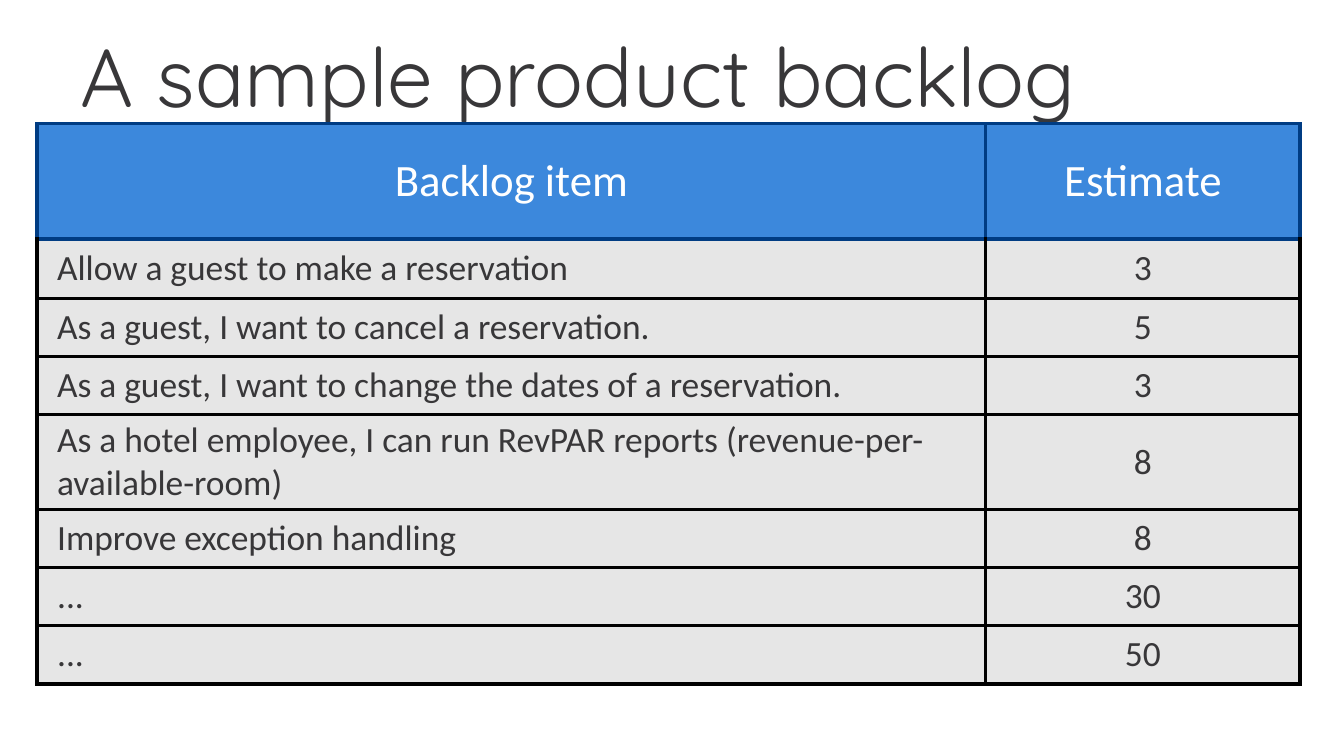
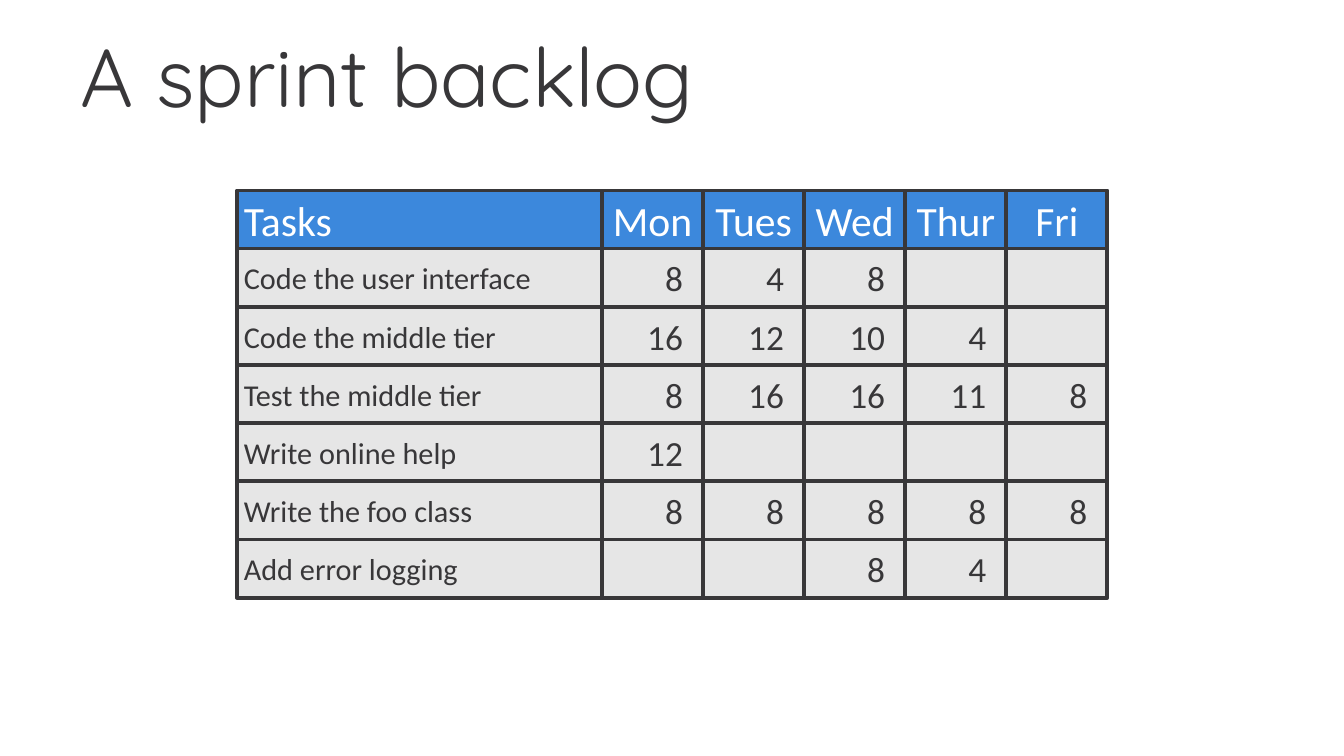
"""Builds two slides that show a product backlog and a sprint backlog."""
from lxml import etree
from pptx import Presentation
from pptx.dml.color import RGBColor
from pptx.enum.shapes import MSO_SHAPE
from pptx.enum.text import MSO_ANCHOR, MSO_AUTO_SIZE, PP_ALIGN
from pptx.oxml.ns import qn
from pptx.util import Cm, Pt

LEFT, MID, RIGHT = PP_ALIGN.LEFT, PP_ALIGN.CENTER, PP_ALIGN.RIGHT
TOP, CENTER = MSO_ANCHOR.TOP, MSO_ANCHOR.MIDDLE
FIXED = MSO_AUTO_SIZE.NONE
RECT = MSO_SHAPE.RECTANGLE

WHITE = RGBColor(0xFF, 0xFF, 0xFF)
BLACK = RGBColor(0x00, 0x00, 0x00)
DARK = RGBColor(0x38, 0x37, 0x39)
BLUE = RGBColor(0x3C, 0x88, 0xDC)
NAVY = RGBColor(0x00, 0x3C, 0x83)
GREY = RGBColor(0xE6, 0xE6, 0xE6)


def set_text(frame, text, size, align, color, name="Calibri"):
    frame.text = text
    par = frame.paragraphs[0]
    par.alignment = align
    par.font.name, par.font.size = name, Pt(size)
    par.font.color.rgb = color


def add_slide(deck, text):
    slide = deck.slides.add_slide(deck.slide_layouts[5])
    title = slide.shapes.title
    title.left, title.top = Cm(1.27), Cm(0.56)
    title.width, title.height = Cm(22.86), Cm(2.39)
    frame = title.text_frame
    set_text(frame, text, 44, LEFT, DARK, "Quicksand")
    frame.auto_size = FIXED
    frame.vertical_anchor = TOP
    frame.paragraphs[0].line_spacing = 0.9
    return slide


deck = Presentation()
deck.slide_width, deck.slide_height = Cm(25.4), Cm(14.29)

items = [
    ("Backlog item", "Estimate"),
    ("Allow a guest to make a reservation", "3"),
    ("As a guest, I want to cancel a reservation.", "5"),
    ("As a guest, I want to change the dates of a reservation.", "3"),
    ("As a hotel employee, I can run RevPAR reports (revenue-per-available-room)", "8"),
    ("Improve exception handling", "8"),
    ("...", "30"),
    ("...", "50"),
]
widths = [17.93, 5.94]
heights = [2.18, 1.12, 1.1, 1.1, 1.42, 1.1, 1.1, 1.1]
slide = add_slide(deck, "A sample product backlog")
table = slide.shapes.add_table(
    len(items), len(widths), Cm(0.7), Cm(2.34), Cm(sum(widths)), Cm(sum(heights))
).table
table.first_row = table.horz_banding = False
for col, width in zip(table.columns, widths):
    col.width = Cm(width)
for i, (item, height) in enumerate(zip(items, heights)):
    table.rows[i].height = Cm(height)
    for j, text in enumerate(item):
        cell = table.cell(i, j)
        story = i > 0 and j == 0
        set_text(cell.text_frame, text, 19 if i else 24, LEFT if story else MID,
                 DARK if i else WHITE)
        cell.vertical_anchor = CENTER
        cell.margin_left = Cm(0.38 if story else 0.08)
        cell.margin_right = cell.margin_top = cell.margin_bottom = Cm(0.08)
        cell.fill.solid()
        cell.fill.fore_color.rgb = GREY if i else BLUE
        props = cell._tc.get_or_add_tcPr()
        for k, side in enumerate("LRTB"):
            line = etree.Element(qn(f"a:ln{side}"), w=str(Pt(2)))
            fill = etree.SubElement(line, qn("a:solidFill"))
            edge = NAVY if i == 0 or (i == 1 and side == "T") else BLACK
            etree.SubElement(fill, qn("a:srgbClr"), val=str(edge))
            props.insert(k, line)

tasks = [
    ("Tasks", "Mon", "Tues", "Wed", "Thur", "Fri"),
    ("Code the user interface", "8", "4", "8", "", ""),
    ("Code the middle tier", "16", "12", "10", "4", ""),
    ("Test the middle tier", "8", "16", "16", "11", "8"),
    ("Write online help", "12", "", "", "", ""),
    ("Write the foo class", "8", "8", "8", "8", "8"),
    ("Add error logging", "", "", "8", "4", ""),
]
first, day, high = 6.9, 1.91, 1.1
slide = add_slide(deck, "A sprint backlog")
for j, column in enumerate(zip(*tasks)):
    x = 4.48 + (first + (j - 1) * day if j else 0)
    for i, text in enumerate(column):
        box = slide.shapes.add_shape(
            RECT, Cm(x), Cm(3.6 + i * high), Cm(day if j else first), Cm(high)
        )
        box.shadow.inherit = False
        box.fill.solid()
        box.fill.fore_color.rgb = GREY if i else BLUE
        box.line.color.rgb, box.line.width = DARK, Pt(2)
        if not text:
            continue
        if i == 0:
            size, align, color = 22.3, MID if j else LEFT, WHITE
            west, east, pad = 0 if j else 0.13, 0, 0
        else:
            size, align, color = (18.9, RIGHT, DARK) if j else (16.2, LEFT, DARK)
            west, east, pad = 0.13, 0.38 if j else 0.13, 0.13
        frame = box.text_frame
        set_text(frame, text, size, align, color)
        frame.word_wrap = True
        frame.vertical_anchor = CENTER
        frame.margin_left, frame.margin_right = Cm(west), Cm(east)
        frame.margin_top = frame.margin_bottom = Cm(pad)

deck.save("out.pptx")
